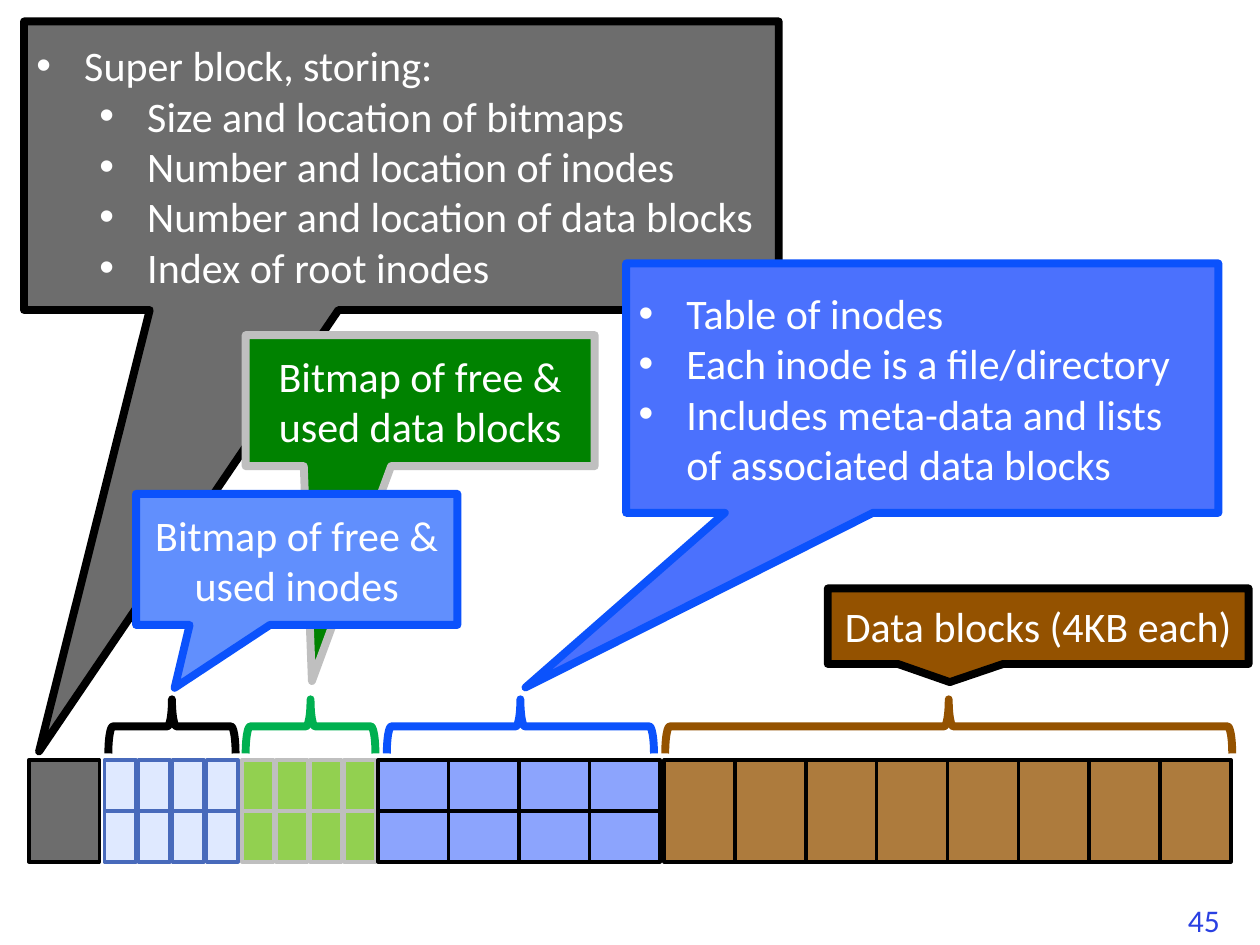
from itertools import product

from lxml.etree import SubElement
from pptx import Presentation
from pptx.dml.color import RGBColor as Color
from pptx.enum.shapes import MSO_SHAPE as Shape
from pptx.enum.text import MSO_ANCHOR as Anchor, PP_ALIGN as Align
from pptx.oxml.ns import qn
from pptx.util import Inches, Pt

COLORS = {
    "black": "000000", "white": "FFFFFF", "gray": "6D6D6D", "silver": "BFBFBF",
    "pale blue": "DFE9FF", "steel": "486ABB", "lime": "92D050", "green": "008200",
    "emerald": "00B050", "periwinkle": "8CA4FD", "blue": "0B52FC", "royal": "4B71FD",
    "sky": "618FFD", "brown": "945200", "number": "2A40E2",
}

BAND_TOP, BAND_HEIGHT = 6.03, 0.81
BRACE_TOP, BRACE_HEIGHT = 5.55, 0.43

REGIONS = [
    dict(left=0.83, span=1.08, columns=4, rows=2, fill="pale blue", line="steel", gap=0.02),
    dict(left=1.92, span=1.08, columns=4, rows=2, fill="lime", line="silver", gap=0.02),
    dict(left=3, span=2.24, columns=4, rows=2, fill="periwinkle", line="black"),
    dict(left=5.27, span=4.5, columns=8, rows=1, fill="brown", line="black", opacity=76),
    dict(left=0.23, span=0.56, columns=1, rows=1, fill="gray", line="black"),
]

BRACES = [
    (0.86, 1.01, "black"),
    (1.95, 1.03, "emerald"),
    (3.07, 2.12, "blue"),
    (5.28, 4.5, "brown"),
]

CALLOUTS = [
    dict(at=(0.19, 0.17, 5.99, 2.29), tip=(-0.48, 2.03), fill="gray", line="black",
         bullets=[(0, "Super block, storing:"),
                  (1, "Size and location of bitmaps"),
                  (1, "Number and location of inodes"),
                  (1, "Number and location of data blocks"),
                  (1, "Index of root inodes")]),
    dict(at=(6.57, 4.67, 3.34, 0.6), tip=(-0.21, 0.74), fill="brown", line="black",
         caption="Data blocks (4KB each)"),
    dict(at=(1.95, 2.66, 2.77, 1.04), tip=(-0.31, 2.14), fill="green", line="silver",
         caption="Bitmap of free & used data blocks"),
    dict(at=(4.97, 2.09, 4.7, 1.98), tip=(-0.67, 1.2), fill="royal", line="blue",
         bullets=[(0, "Table of inodes"),
                  (0, "Each inode is a file/directory"),
                  (0, "Includes meta-data and lists of associated data blocks")]),
    dict(at=(1.08, 3.92, 2.55, 1.04), tip=(-0.38, 0.98), fill="sky", line="blue",
         caption="Bitmap of free & used inodes"),
]


class SlideBuilder:
    """Holds the text style and the current slide, and draws each kind of element."""

    def __init__(self, slide):
        self.slide = slide
        self.font = {"name": "Calibri", "size": Pt(24)}

    def shape(self, kind, at, line, width, fill=None, opacity=None):
        shape = self.slide.shapes.add_shape(kind, *map(Inches, at))
        shape.shadow.inherit = False
        shape.line.color.rgb = Color.from_string(COLORS[line])
        shape.line.width = Pt(width)
        if fill is None:
            shape.fill.background()
            return shape
        shape.fill.solid()
        shape.fill.fore_color.rgb = Color.from_string(COLORS[fill])
        if opacity:
            color = shape.element.spPr.find(qn("a:solidFill"))[0]
            SubElement(color, qn("a:alpha"), val=str(opacity * 1000))
        return shape

    def region(self, left, span, columns, rows, fill, line, gap=0, opacity=None):
        pitch, height = span / columns, BAND_HEIGHT / rows
        for row, column in product(range(rows), range(columns)):
            at = (left + column * pitch, BAND_TOP + row * height, pitch - gap, height)
            self.shape(Shape.RECTANGLE, at, line, 2, fill, opacity)

    def brace(self, left, span, color):
        inset = (span - BRACE_HEIGHT) / 2
        at = (left + inset, BRACE_TOP - inset, BRACE_HEIGHT, span)
        self.shape(Shape.RIGHT_BRACE, at, color, 4.5).rotation = 270

    def add_text(self, para, text, color="white", **changes):
        span = para.add_run()
        span.text = text
        for name, value in {**self.font, **changes}.items():
            setattr(span.font, name, value)
        span.font.color.rgb = Color.from_string(COLORS[color])

    def bullet(self, para, level):
        para.alignment, para.level = Align.LEFT, level
        properties = para._p.get_or_add_pPr()
        properties.set("marL", str(Inches(0.38 + 0.5 * level)))
        properties.set("indent", str(Inches(-0.38)))
        SubElement(properties, qn("a:buFont"), typeface="Arial")
        SubElement(properties, qn("a:buChar"), char="•")

    def callout(self, at, tip, fill, line, caption=None, bullets=()):
        box = self.shape(Shape.RECTANGULAR_CALLOUT, at, line, 4.5, fill)
        box.adjustments[0], box.adjustments[1] = tip
        frame = box.text_frame
        frame.word_wrap, frame.vertical_anchor = True, Anchor.MIDDLE
        if caption:
            frame.paragraphs[0].alignment = Align.CENTER
            self.add_text(frame.paragraphs[0], caption)
        for index, (level, text) in enumerate(bullets):
            para = frame.add_paragraph() if index else frame.paragraphs[0]
            self.bullet(para, level)
            self.add_text(para, text)

    def page_number(self, number):
        box = self.slide.shapes.add_textbox(*map(Inches, (9.33, 7.1, 0.51, 0.4)))
        box.text_frame.word_wrap = False
        self.add_text(box.text_frame.paragraphs[0], number, "number", size=Pt(18))


def main():
    deck = Presentation()
    deck.slide_width, deck.slide_height = Inches(10), Inches(7.5)
    page = SlideBuilder(deck.slides.add_slide(deck.slide_layouts[6]))
    page.page_number("45")
    for region in REGIONS:
        page.region(**region)
    for brace in BRACES:
        page.brace(*brace)
    for callout in CALLOUTS:
        page.callout(**callout)
    deck.save("out.pptx")


if __name__ == "__main__":
    main()
